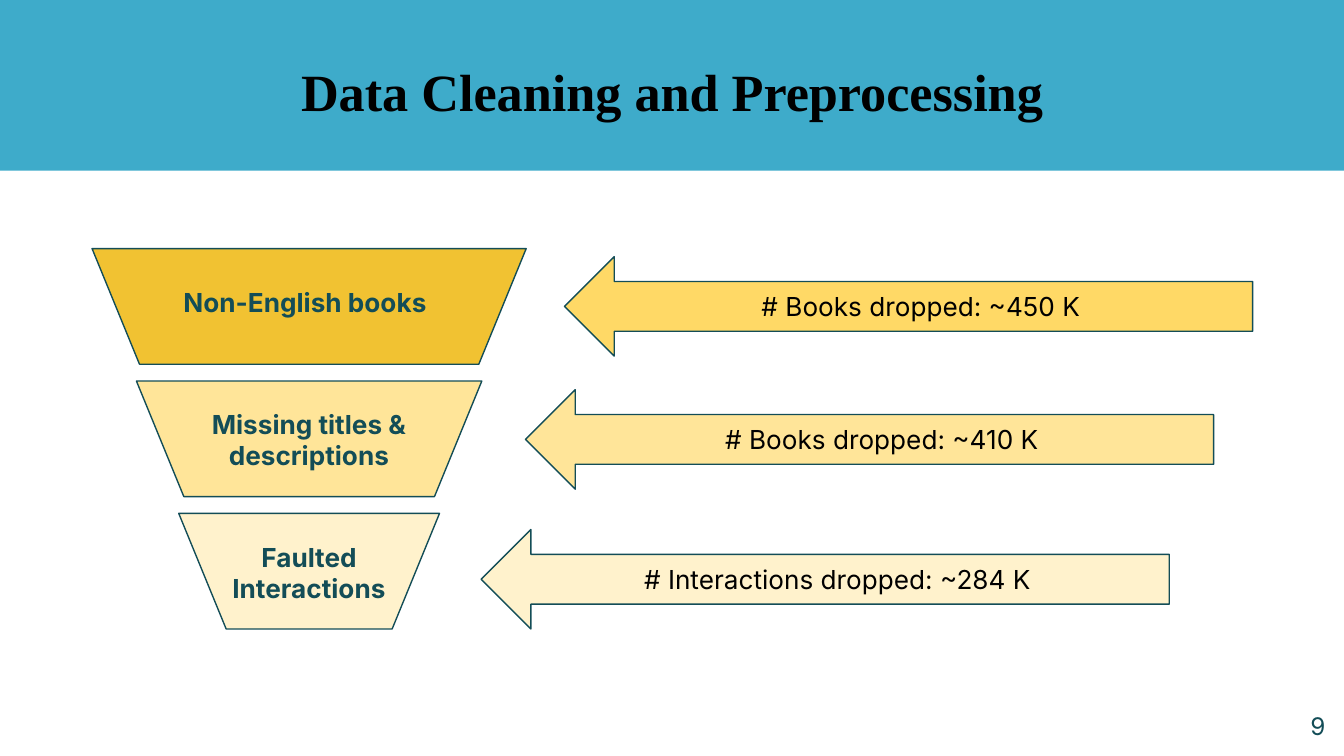
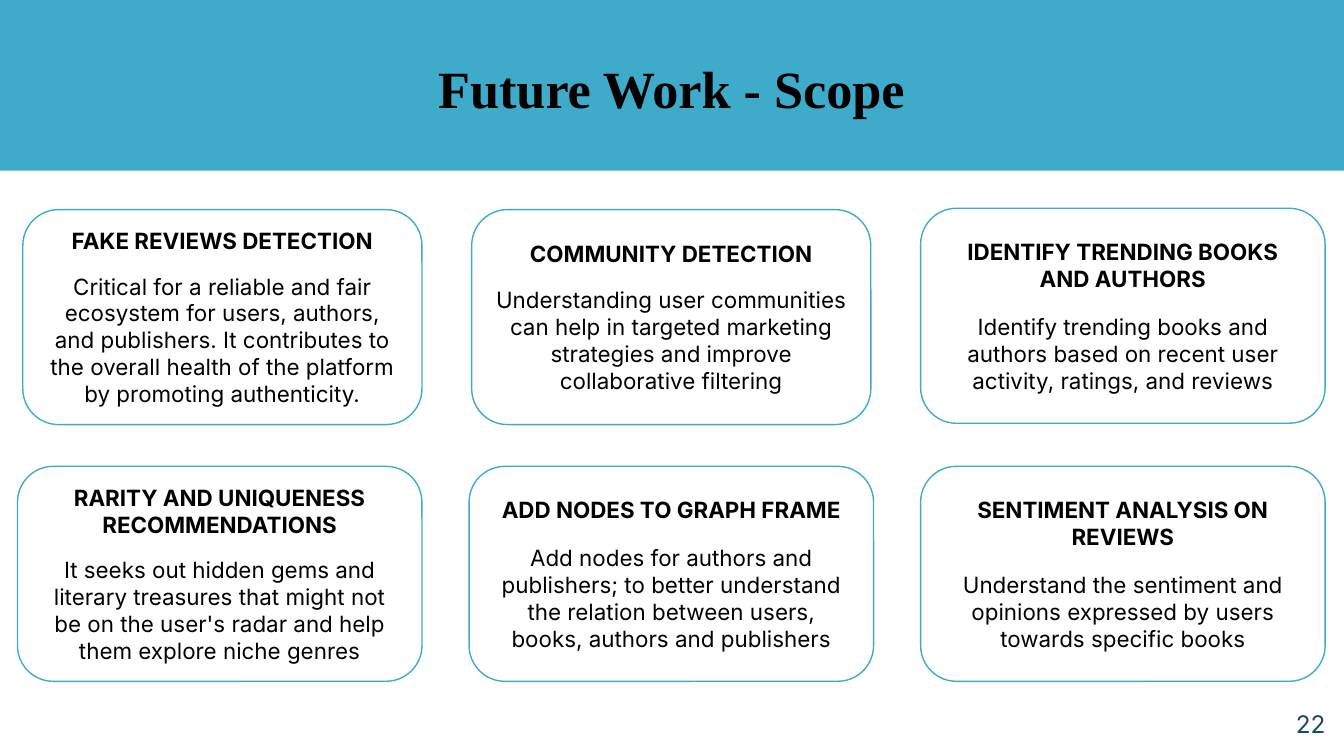
from pptx import Presentation
from pptx.dml.color import RGBColor
from pptx.enum.shapes import MSO_SHAPE as SHAPE
from pptx.enum.text import MSO_ANCHOR as ANCHOR, PP_ALIGN as ALIGN
from pptx.util import Inches, Pt

BLUE, TEAL, BLACK = "3EABCA", "134D57", "000000"
BODY_FONT, TITLE_FONT = "Inter", "Times New Roman"
MARGIN = Inches(0.1)

# label, label box, trapezoid width, fill, arrow text, arrow left, arrow top, arrow fill
FUNNEL = [
    ("Non-English books", (0.95, 1.91, 2.64, 0.68), 3.23, "F1C232",
     "# Books dropped: ~450 K", 4.2, 1.91, "FFD966"),
    ("Missing titles & descriptions", (0.98, 2.93, 2.64, 0.68), 2.57, "FFE599",
     "# Books dropped: ~410 K", 3.91, 2.9, "FFE599"),
    ("Faulted Interactions", (1.33, 3.89, 1.94, 0.74), 1.94, "FFF2CC",
     "# Interactions dropped: ~284 K", 3.58, 3.94, "FFF2CC"),
]
FUNNEL_CENTER, FUNNEL_TOP, FUNNEL_LAST_TOP = 2.3, 1.85, 3.82
FUNNEL_PITCH = (FUNNEL_LAST_TOP - FUNNEL_TOP) / (len(FUNNEL) - 1)

# left, top, width, gap under the heading in points, heading, body
CARDS = [
    (0.17, 1.56, 2.97, 10, "FAKE REVIEWS DETECTION",
     "Critical for a reliable and fair ecosystem for users, authors, and publishers. "
     "It contributes to the overall health of the platform by promoting authenticity."),
    (3.51, 1.56, 2.97, 10, "COMMUNITY DETECTION",
     "Understanding user communities can help in targeted marketing strategies "
     "and improve collaborative filtering"),
    (6.85, 1.55, 3.01, 11.5, "IDENTIFY TRENDING BOOKS AND AUTHORS",
     "Identify trending books and authors based on recent user activity, ratings, "
     "and reviews"),
    (0.13, 3.47, 3.01, 10, "RARITY AND UNIQUENESS RECOMMENDATIONS",
     "It seeks out hidden gems and literary treasures that might not be on the user's "
     "radar and help them explore niche genres"),
    (3.49, 3.47, 3.01, 11.5, "ADD NODES TO GRAPH FRAME",
     "Add nodes for authors and publishers; to better understand the relation between "
     "users, books, authors and publishers"),
    (6.85, 3.47, 3.01, 11.5, "SENTIMENT ANALYSIS ON REVIEWS",
     "Understand the sentiment and opinions expressed by users towards specific books"),
]


def rgb(color):
    return RGBColor.from_string(color)


def setup_frame(tf, anchor):
    tf.word_wrap = True
    tf.vertical_anchor = anchor
    tf.margin_left = tf.margin_right = tf.margin_top = tf.margin_bottom = MARGIN
    return tf


def write(p, text, size, color=BLACK, bold=False, font=BODY_FONT, align=ALIGN.CENTER):
    p.add_run().text = text
    p.alignment = align
    p.font.name, p.font.size, p.font.bold = font, Pt(size), bold
    p.font.color.rgb = rgb(color)


def add_text(s, box, text, size, anchor=ANCHOR.TOP, **style):
    tb = s.shapes.add_textbox(*map(Inches, box))
    p = setup_frame(tb.text_frame, anchor).paragraphs[0]
    write(p, text, size, **style)
    return p


def add_shape(s, kind, box, fill=None, line=None):
    sp = s.shapes.add_shape(kind, *map(Inches, box))
    sp.shadow.inherit = False
    if fill:
        sp.fill.solid()
        sp.fill.fore_color.rgb = rgb(fill)
    else:
        sp.fill.background()
    if line:
        sp.line.color.rgb = rgb(line)
        sp.line.width = Pt(0.75)
    else:
        sp.line.fill.background()
    return sp


def add_slide(prs, title, title_box, number, number_top, line_spacing=None):
    """Add a slide with the blue band, title and page number."""
    s = prs.slides.add_slide(prs.slide_layouts[6])
    add_shape(s, SHAPE.RECTANGLE, (0, 0, 10, 1.27), BLUE)
    p = add_text(s, title_box, title, 28, bold=True, font=TITLE_FONT)
    p.line_spacing = line_spacing
    add_text(s, (9.36, number_top, 0.6, 0.43), str(number), 13, color=TEAL,
             align=ALIGN.RIGHT)
    return s


def add_funnel_stage(s, top, width, fill, label, label_box):
    box = (FUNNEL_CENTER - width / 2, top, width, 0.86)
    sp = add_shape(s, SHAPE.TRAPEZOID, box, fill, TEAL)
    sp.rotation = 180
    sp.adjustments[0] = 0.41
    add_text(s, label_box, label, 14, ANCHOR.MIDDLE, color=TEAL, bold=True)


def add_arrow(s, left, top, fill, text):
    sp = add_shape(s, SHAPE.LEFT_ARROW, (left, top, 5.12, 0.74), fill, TEAL)
    write(setup_frame(sp.text_frame, ANCHOR.MIDDLE).paragraphs[0], text, 14)


def add_card(s, left, top, width, gap, heading, body):
    sp = add_shape(s, SHAPE.ROUNDED_RECTANGLE, (left, top, width, 1.6), line=BLUE)
    tf = setup_frame(sp.text_frame, ANCHOR.MIDDLE)
    write(tf.paragraphs[0], heading, 12, bold=True)
    p = tf.add_paragraph()
    write(p, body, 12)
    p.space_before = Pt(gap)


def main():
    prs = Presentation()
    prs.slide_width = Inches(10)
    prs.slide_height = prs.slide_width * 9 // 16

    s = add_slide(prs, "Data Cleaning and Preprocessing", (0.62, 0.39, 8.76, 0.77),
                  9, 5.19, 0.9)
    for i, (label, label_box, width, fill, text, left, top, arrow_fill) in enumerate(FUNNEL):
        add_funnel_stage(s, FUNNEL_TOP + i * FUNNEL_PITCH, width, fill, label, label_box)
        add_arrow(s, left, top, arrow_fill, text)

    s = add_slide(prs, "Future Work - Scope", (0.29, 0.32, 9.41, 0.63), 22, 5.18)
    for card in CARDS:
        add_card(s, *card)

    prs.save("out.pptx")


if __name__ == "__main__":
    main()
